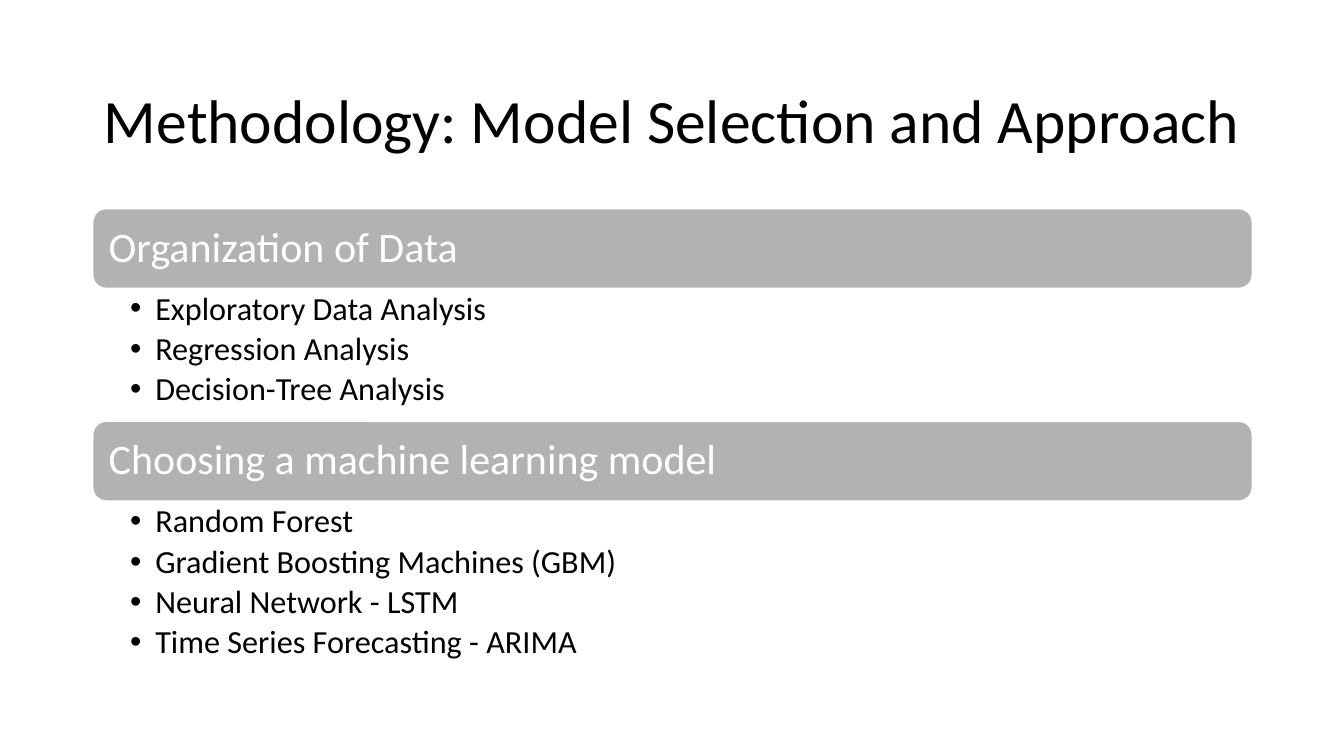
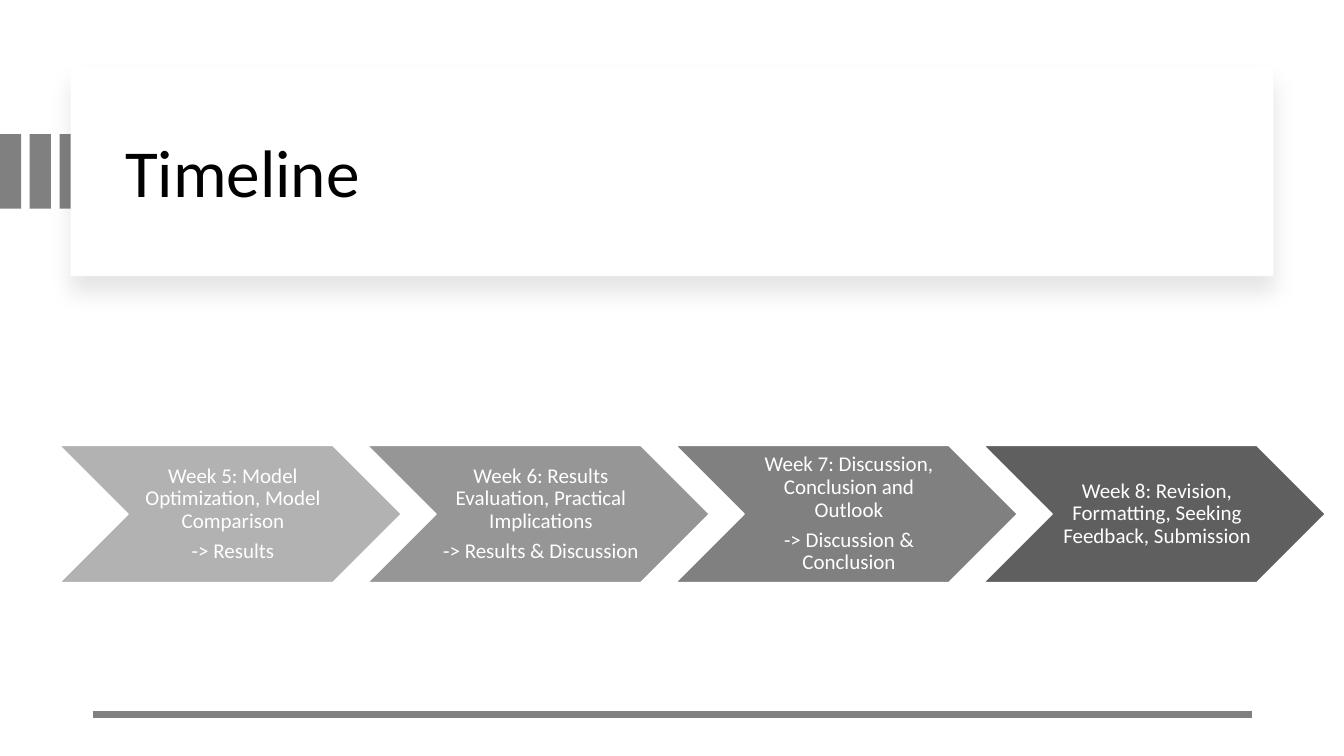
from lxml import etree
from pptx import Presentation
from pptx.dml.color import RGBColor
from pptx.enum.shapes import MSO_CONNECTOR, MSO_SHAPE
from pptx.enum.text import MSO_ANCHOR, MSO_AUTO_SIZE, PP_ALIGN
from pptx.oxml.ns import qn
from pptx.util import Inches, Pt

LEFT, CENTER = PP_ALIGN.LEFT, PP_ALIGN.CENTER
TOP, MIDDLE = MSO_ANCHOR.TOP, MSO_ANCHOR.MIDDLE
NO_AUTOFIT = MSO_AUTO_SIZE.NONE
RECTANGLE, ROUNDED, CHEVRON = MSO_SHAPE.RECTANGLE, MSO_SHAPE.ROUNDED_RECTANGLE, MSO_SHAPE.CHEVRON
STRAIGHT = MSO_CONNECTOR.STRAIGHT

FONT = "Calibri"
COLORS = {
    "white": "FFFFFF",
    "black": "000000",
    "light": "B2B2B2",
    "medium": "969696",
    "gray": "808080",
    "dark": "5F5F5F",
}
MARGIN, CONTENT_WIDTH = 0.92, 11.5
TITLE_ONLY, TWO_CONTENT = 5, 3

# heading, bullets, top of the band, height of the list
SECTIONS = [
    ("Organization of Data",
     ["Exploratory Data Analysis", "Regression Analysis", "Decision-Tree Analysis"],
     2.07, 1.32),
    ("Choosing a machine learning model",
     ["Random Forest", "Gradient Boosting Machines (GBM)", "Neural Network - LSTM",
      "Time Series Forecasting - ARIMA"],
     4.18, 1.73),
]
WEEKS = [
    ("light", ["Week 5: Model Optimization, Model Comparison", "-> Results"]),
    ("medium", ["Week 6: Results Evaluation, Practical Implications", "-> Results & Discussion"]),
    ("gray", ["Week 7: Discussion, Conclusion and Outlook", "-> Discussion & Conclusion"]),
    ("dark", ["Week 8: Revision, Formatting, Seeking Feedback, Submission"]),
]


def color(name):
    return RGBColor.from_string(COLORS[name])


def place(shape, left, top, width, height):
    shape.left, shape.top = Inches(left), Inches(top)
    shape.width, shape.height = Inches(width), Inches(height)


def write(shape, lines, size, color_name, align=LEFT, anchor=MIDDLE,
          insets=(0.1, 0.05, 0.1, 0.05), space_after=0):
    """Fill a shape or placeholder with evenly styled paragraphs."""
    frame = shape.text_frame
    frame.text = "\n".join(lines)
    frame.word_wrap = True
    frame.auto_size = NO_AUTOFIT
    frame.vertical_anchor = anchor
    (frame.margin_left, frame.margin_top,
     frame.margin_right, frame.margin_bottom) = map(Inches, insets)
    for paragraph in frame.paragraphs:
        paragraph.alignment = align
        paragraph.line_spacing = 0.9
        paragraph.space_before = Pt(0)
        paragraph.space_after = Pt(space_after)
        paragraph.font.name = FONT
        paragraph.font.size = Pt(size)
        paragraph.font.color.rgb = color(color_name)


def add_title(slide, text, box, size, align=LEFT):
    title = slide.shapes.title
    place(title, *box)
    write(title, [text], size, "black", align)
    return title


def add_block(slide, kind, box, fill, outlined=False):
    shape = slide.shapes.add_shape(kind, *map(Inches, box))
    shape.shadow.inherit = False
    shape.fill.solid()
    shape.fill.fore_color.rgb = color(fill)
    if outlined:
        shape.line.color.rgb = color("white")
        shape.line.width = Pt(1)
    else:
        shape.line.fill.background()
    return shape


def add_soft_shadow(shape):
    effects = shape.element.spPr.find(qn("a:effectLst"))
    shadow = etree.SubElement(effects, qn("a:outerShdw"), blurRad=str(Pt(15)),
                              dist=str(Pt(11)), dir="5400000", algn="t", rotWithShape="0")
    shade = etree.SubElement(shadow, qn("a:srgbClr"), val=COLORS["black"])
    etree.SubElement(shade, qn("a:alpha"), val="10000")


def add_rule(slide, left, right, y):
    rule = slide.shapes.add_connector(STRAIGHT, *map(Inches, (left, y, right, y)))
    rule.line.color.rgb = color("gray")
    rule.line.width = Pt(4.5)
    etree.SubElement(rule.element.spPr, qn("a:effectLst"))


def fill_list(placeholder, items, box):
    place(placeholder, *box)
    write(placeholder, items, 23, "black", anchor=TOP,
          insets=(0.37, 0.04, 0.23, 0.04), space_after=4)
    for paragraph in placeholder.text_frame.paragraphs:
        properties = paragraph._p.get_or_add_pPr()
        properties.set("marL", str(Inches(0.25)))
        properties.set("indent", str(Inches(-0.25)))
        etree.SubElement(properties, qn("a:buChar"), char="•")
        # bullets come before the default run properties
        defaults = properties.find(qn("a:defRPr"))
        if defaults is not None:
            properties.append(defaults)


def build_methodology(presentation):
    slide = presentation.slides.add_slide(presentation.slide_layouts[TWO_CONTENT])
    add_title(slide, "Methodology: Model Selection and Approach",
              (MARGIN, 0.61, CONTENT_WIDTH, 1.24), 44, CENTER)
    band_height = 0.79
    lists = list(slide.placeholders)[1:]
    for placeholder, (heading, items, top, list_height) in zip(lists, SECTIONS):
        band = add_block(slide, ROUNDED, (MARGIN, top, CONTENT_WIDTH, band_height), "light", True)
        write(band, [heading], 30, "white", insets=(0.12,) * 4)
        fill_list(placeholder, items,
                  (MARGIN, top + band_height, CONTENT_WIDTH, list_height))


def build_timeline(presentation):
    slide = presentation.slides.add_slide(presentation.slide_layouts[TITLE_ONLY])

    # Stripes running under the title card
    for index in range(3):
        add_block(slide, RECTANGLE, (index * 0.295, 1.33, 0.21, 0.74), "gray")
    card = add_block(slide, RECTANGLE, (0.7, 0.67, 11.93, 2.07), "white")
    add_soft_shadow(card)

    # The title goes in front of its card
    title = add_title(slide, "Timeline", (1.14, 0.89, 11.13, 1.7), 48)
    slide.shapes.element.append(title.element)
    add_rule(slide, MARGIN, MARGIN + CONTENT_WIDTH, 7.09)

    # One chevron a week
    for index, (fill, lines) in enumerate(WEEKS):
        chevron = add_block(slide, CHEVRON, (0.59 + index * 3.055, 4.42, 3.39, 1.36), fill, True)
        write(chevron, lines, 15, "white", CENTER,
              insets=(0.07, 0.02, 0.02, 0.02), space_after=5)


def main():
    presentation = Presentation()
    presentation.slide_width, presentation.slide_height = Inches(13.33), Inches(7.5)
    build_methodology(presentation)
    build_timeline(presentation)
    presentation.save("out.pptx")


if __name__ == "__main__":
    main()
